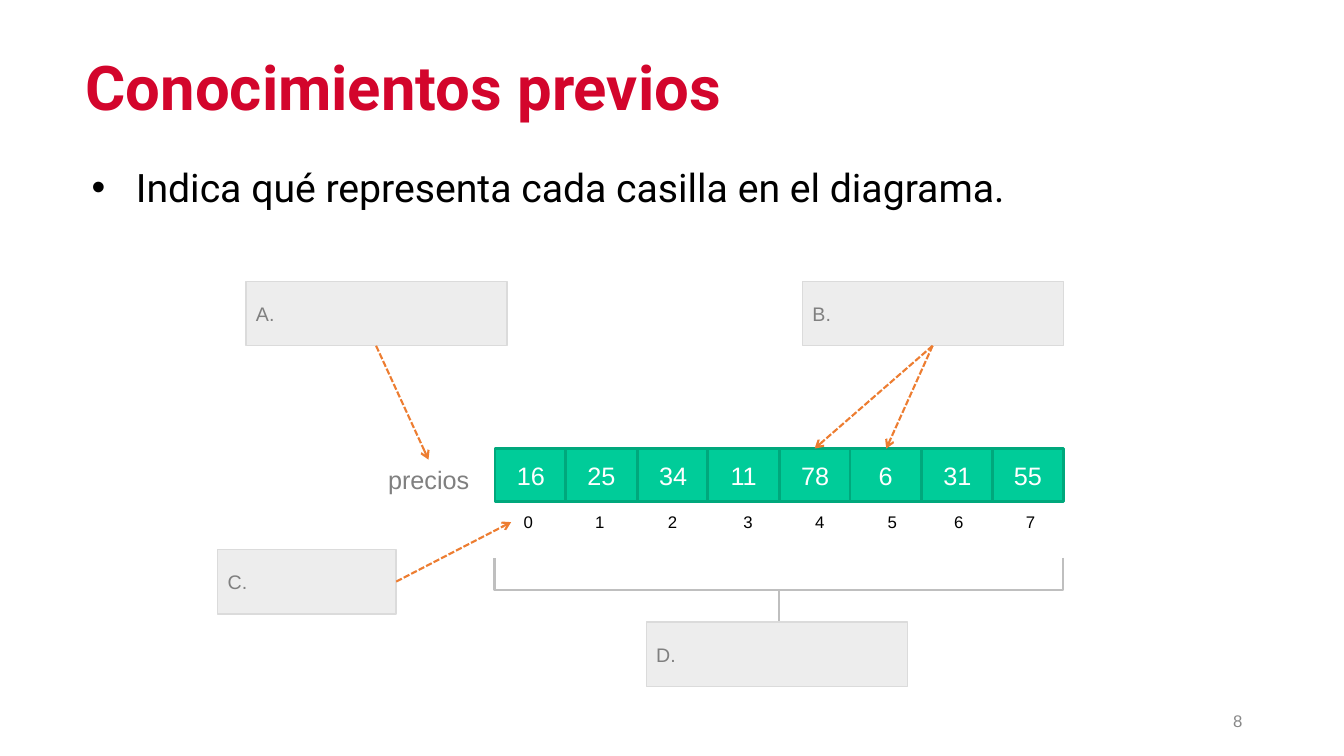
from dataclasses import dataclass

from lxml import etree
from pptx import Presentation
from pptx.dml.color import RGBColor
from pptx.enum.dml import MSO_LINE
from pptx.enum.shapes import MSO_CONNECTOR, MSO_SHAPE
from pptx.enum.text import MSO_ANCHOR, PP_ALIGN
from pptx.oxml.ns import qn
from pptx.util import Emu, Pt

PX = 9144  # 100 px to the inch
LEFT, CENTER, RIGHT = PP_ALIGN.LEFT, PP_ALIGN.CENTER, PP_ALIGN.RIGHT
TOP, MIDDLE = MSO_ANCHOR.TOP, MSO_ANCHOR.MIDDLE
RECTANGLE, LEFT_BRACE = MSO_SHAPE.RECTANGLE, MSO_SHAPE.LEFT_BRACE
STRAIGHT, DASH = MSO_CONNECTOR.STRAIGHT, MSO_LINE.SQUARE_DOT


@dataclass(frozen=True)
class Theme:
    heading_font: str = "Roboto"
    diagram_font: str = "Arial"
    title: str = "D3052C"
    ink: str = "000000"
    muted: str = "808080"
    page: str = "888888"
    cell: str = "00CC99"
    cell_edge: str = "00A87C"
    cell_text: str = "FFFFFF"
    answer: str = "EDEDED"
    answer_edge: str = "DBDBDB"
    brace: str = "BFBFBF"
    arrow: str = "ED7D31"
    title_size: int = 44
    body_size: int = 28
    value_size: int = 18
    answer_size: int = 14
    small_size: int = 12


THEME = Theme()

PRICES = [16, 25, 34, 11, 78, 6, 31, 55]
INDEX_CENTERS = [524, 595, 667, 742, 813, 885, 951, 1022]
ARRAY_LEFT, ARRAY_TOP, ARRAY_WIDTH, CELL_HEIGHT = 491, 445, 564, 53

ANSWERS = {
    "A.": (244, 279, 259, 64),
    "B.": (796, 279, 259, 64),
    "C.": (216, 545, 177, 64),
    "D.": (641, 617, 259, 64),
}


def px(*lengths):
    return [Emu(length * PX) for length in lengths]


def write(shape, text, size, color, font=THEME.diagram_font, align=LEFT,
          anchor=MIDDLE, bold=False):
    frame = shape.text_frame
    frame.word_wrap = True
    frame.vertical_anchor = anchor
    frame.text = text
    paragraph = frame.paragraphs[0]
    paragraph.alignment = align
    run_font = paragraph.runs[0].font
    run_font.name = font
    run_font.size = Pt(size)
    run_font.bold = bold
    run_font.color.rgb = RGBColor.from_string(color)
    return paragraph


def add_text(slide, box, text, size, color, **style):
    return write(slide.shapes.add_textbox(*px(*box)), text, size, color, **style)


def add_bullet(paragraph, color):
    properties = paragraph._p.get_or_add_pPr()
    indent, hanging = px(50, -44)
    properties.set("marL", str(indent))
    properties.set("indent", str(hanging))
    bullet_color = etree.SubElement(properties, qn("a:buClr"))
    etree.SubElement(bullet_color, qn("a:srgbClr"), val=color)
    etree.SubElement(properties, qn("a:buFont"), typeface="Arial")
    etree.SubElement(properties, qn("a:buChar"), char="•")


def add_box(slide, box, fill, edge, edge_width):
    rectangle = slide.shapes.add_shape(RECTANGLE, *px(*box))
    rectangle.shadow.inherit = False
    rectangle.fill.solid()
    rectangle.fill.fore_color.rgb = RGBColor.from_string(fill)
    rectangle.line.color.rgb = RGBColor.from_string(edge)
    rectangle.line.width = Pt(edge_width)
    return rectangle


def add_array(slide):
    pitch = ARRAY_WIDTH // len(PRICES)
    spare = ARRAY_WIDTH % len(PRICES)
    for index, (price, center) in enumerate(zip(PRICES, INDEX_CENTERS)):
        left = ARRAY_LEFT + index * pitch + index * spare // len(PRICES)
        cell = add_box(slide, (left, ARRAY_TOP, pitch + 1, CELL_HEIGHT),
                       THEME.cell, THEME.cell_edge, 2)
        write(cell, str(price), THEME.value_size, THEME.cell_text, align=CENTER)
        add_text(slide, (center - 17, 503, 34, 30), str(index),
                 THEME.small_size, THEME.ink, align=CENTER, anchor=TOP)


def add_brace(slide):
    depth, middle_y = 63, 585
    left = ARRAY_LEFT + (ARRAY_WIDTH - depth) // 2
    brace = slide.shapes.add_shape(
        LEFT_BRACE, *px(left, middle_y - ARRAY_WIDTH // 2, depth, ARRAY_WIDTH))
    brace.rotation = 270
    brace.adjustments[0] = 0
    brace.adjustments[1] = 0.5
    brace.shadow.inherit = False
    brace.fill.background()
    brace.line.color.rgb = RGBColor.from_string(THEME.brace)
    brace.line.width = Pt(1.5)


def add_arrow(slide, start, end):
    arrow = slide.shapes.add_connector(STRAIGHT, *px(*start, *end))
    arrow.line.color.rgb = RGBColor.from_string(THEME.arrow)
    arrow.line.width = Pt(1.5)
    arrow.line.dash_style = DASH
    etree.SubElement(arrow.line._get_or_add_ln(), qn("a:tailEnd"), type="arrow")
    etree.SubElement(arrow._element.spPr, qn("a:effectLst"))


def bottom_center(box):
    left, top, width, height = box
    return left + width // 2, top + height


def right_middle(box):
    left, top, width, height = box
    return left + width, top + height // 2


def main():
    presentation = Presentation()
    presentation.slide_width, presentation.slide_height = px(1333, 750)
    slide = presentation.slides.add_slide(presentation.slide_layouts[6])

    # Heading, instruction and page number
    heading = add_text(slide, (75, 47, 1167, 86), "Conocimientos previos",
                       THEME.title_size, THEME.title,
                       font=THEME.heading_font, bold=True)
    heading.line_spacing = 0.9
    instruction = add_text(slide, (75, 157, 1167, 523),
                           "Indica qué representa cada casilla en el diagrama.",
                           THEME.body_size, THEME.ink,
                           font=THEME.heading_font, anchor=TOP)
    add_bullet(instruction, THEME.ink)
    add_text(slide, (942, 695, 300, 40), "8", THEME.small_size, THEME.page,
             align=RIGHT)

    # Array with its name and extent
    add_array(slide)
    add_text(slide, (375, 456, 101, 40), "precios", THEME.value_size,
             THEME.muted, anchor=TOP)
    add_brace(slide)

    # Boxes to fill in
    for letter, box in ANSWERS.items():
        answer = add_box(slide, box, THEME.answer, THEME.answer_edge, 1)
        write(answer, letter, THEME.answer_size, THEME.muted)

    # Arrows from the boxes to the array parts
    add_arrow(slide, right_middle(ANSWERS["C."]), (507, 518))
    add_arrow(slide, bottom_center(ANSWERS["A."]), (425, 456))
    for cell_center in (808, 879):
        add_arrow(slide, bottom_center(ANSWERS["B."]), (cell_center, ARRAY_TOP))

    presentation.save("out.pptx")


if __name__ == "__main__":
    main()
